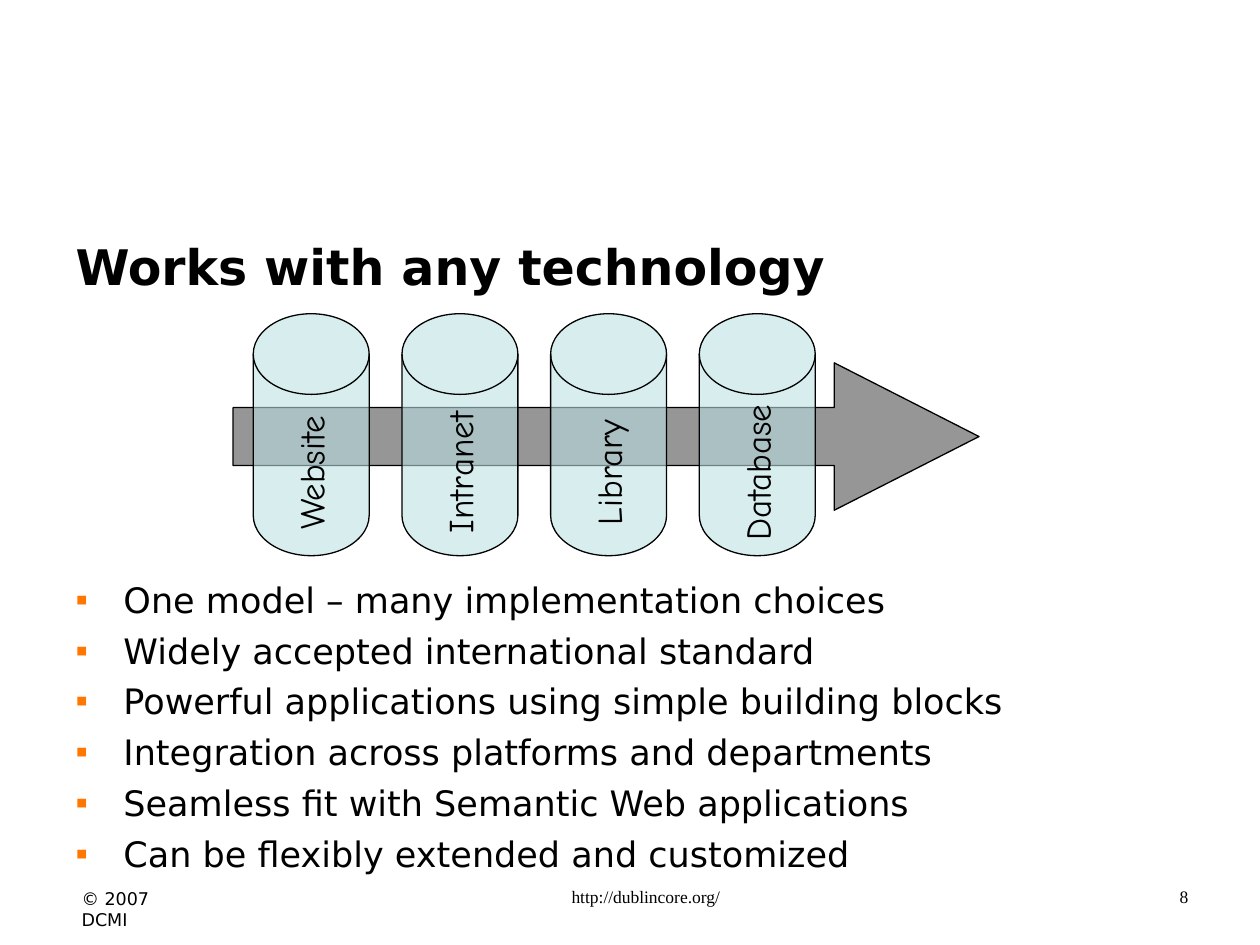
from lxml.etree import SubElement
from pptx import Presentation
from pptx.dml.color import RGBColor
from pptx.enum.shapes import MSO_SHAPE
from pptx.enum.text import MSO_ANCHOR, MSO_AUTO_SIZE, PP_ALIGN
from pptx.oxml.ns import qn
from pptx.util import Inches, Pt

TITLE = "Works with any technology"
BULLETS = [
    "One model – many implementation choices",
    "Widely accepted international standard",
    "Powerful applications using simple building blocks",
    "Integration across platforms and departments",
    "Seamless fit with Semantic Web applications",
    "Can be flexibly extended and customized",
]
SYSTEMS = ["Website", "Intranet", "Library", "Database"]
FOOTERS = [
    ("© 2007 DCMI", (0.55, 7, 1.06, 0.27), dict(font="DejaVu Sans")),
    ("http://dublincore.org/", (3.42, 6.98, 3.17, 0.37),
     dict(font="Times New Roman", align=PP_ALIGN.CENTER, margin=0.24)),
    ("8", (7.2, 6.98, 2.33, 0.36),
     dict(font="Times New Roman", align=PP_ALIGN.RIGHT, margin=0.24)),
]
DISK_LEFT, DISK_TOP, DISK_W, DISK_H, DISK_STEP = 2.01, 2.49, 0.92, 1.92, 1.18
LABEL_W, LABEL_H, LABEL_MID = 1.42, 0.44, 3.75


def rgb(value):
    """Return the colour of a hex string."""
    return RGBColor.from_string(value)


def place(s, left, top, width, height):
    """Move and size a shape in inches."""
    s.left, s.top = Inches(left), Inches(top)
    s.width, s.height = Inches(width), Inches(height)


def write(s, text, size=10, font="DejaVu Sans", bold=False, color="000000",
          align=PP_ALIGN.LEFT, margin=0, bullet=None, before=0):
    """Fill a shape with one paragraph for each line of text."""
    tf = s.text_frame
    tf.word_wrap = True
    tf.auto_size = MSO_AUTO_SIZE.NONE
    tf.vertical_anchor = MSO_ANCHOR.TOP
    tf.text = text
    for i, p in enumerate(tf.paragraphs):
        pPr = p._p.get_or_add_pPr()
        pPr.set("marL", str(Inches(margin)))
        pPr.set("indent", str(Inches(-margin if bullet else 0)))
        if bullet:
            clr = SubElement(pPr, qn("a:buClr"))
            SubElement(clr, qn("a:srgbClr")).set("val", bullet)
            SubElement(pPr, qn("a:buChar")).set("char", "▪")
        p.alignment = align
        p.space_before = Pt(before if i else 0)
        for r in p.runs:
            r.font.size, r.font.name, r.font.bold = Pt(size), font, bold
            r.font.color.rgb = rgb(color)


def add_text(slide, text, box, **fmt):
    """Add a text box."""
    s = slide.shapes.add_textbox(*map(Inches, box))
    write(s, text, **fmt)
    return s


def add_figure(slide, kind, box, fill, alpha=None):
    """Add an outlined preset shape with an optional opacity in percent."""
    s = slide.shapes.add_shape(kind, *map(Inches, box))
    s.shadow.inherit = False
    s.fill.solid()
    s.fill.fore_color.rgb = rgb(fill)
    s.line.color.rgb = rgb("000000")
    s.line.width = Pt(0.75)
    if alpha:
        clr = s._element.spPr.find(qn("a:solidFill")).find(qn("a:srgbClr"))
        SubElement(clr, qn("a:alpha")).set("val", str(alpha * 1000))
    return s


def main():
    """Build the slide."""
    prs = Presentation()
    prs.slide_width, prs.slide_height = Inches(10), Inches(7.5)
    slide = prs.slides.add_slide(prs.slide_layouts[1])
    title, body = slide.placeholders
    place(title, 0.5, 1.83, 9, 1)
    write(title, TITLE, size=28, bold=True)
    place(body, 0.5, 4.54, 9, 2.46)
    write(body, "\n".join(BULLETS), size=20, margin=0.38, bullet="FF7600", before=5)

    arrow = add_figure(slide, MSO_SHAPE.RIGHT_ARROW, (1.85, 2.88, 5.92, 1.17), "969696")
    arrow.adjustments[0], arrow.adjustments[1] = 0.393, 0.982
    lefts = [DISK_LEFT + i * DISK_STEP for i in range(len(SYSTEMS))]
    for left in lefts:
        add_figure(slide, MSO_SHAPE.FLOWCHART_MAGNETIC_DISK,
                   (left, DISK_TOP, DISK_W, DISK_H), "BBE0E3", alpha=58)
    for left, name in zip(lefts, SYSTEMS):
        box = (left + (DISK_W - LABEL_W) / 2, LABEL_MID - LABEL_H / 2, LABEL_W, LABEL_H)
        label = add_text(slide, name, box, size=20, font="Comic Neue", align=PP_ALIGN.CENTER)
        label.rotation = 270

    for text, box, fmt in FOOTERS:
        add_text(slide, text, box, **fmt)
    prs.save("out.pptx")


if __name__ == "__main__":
    main()
